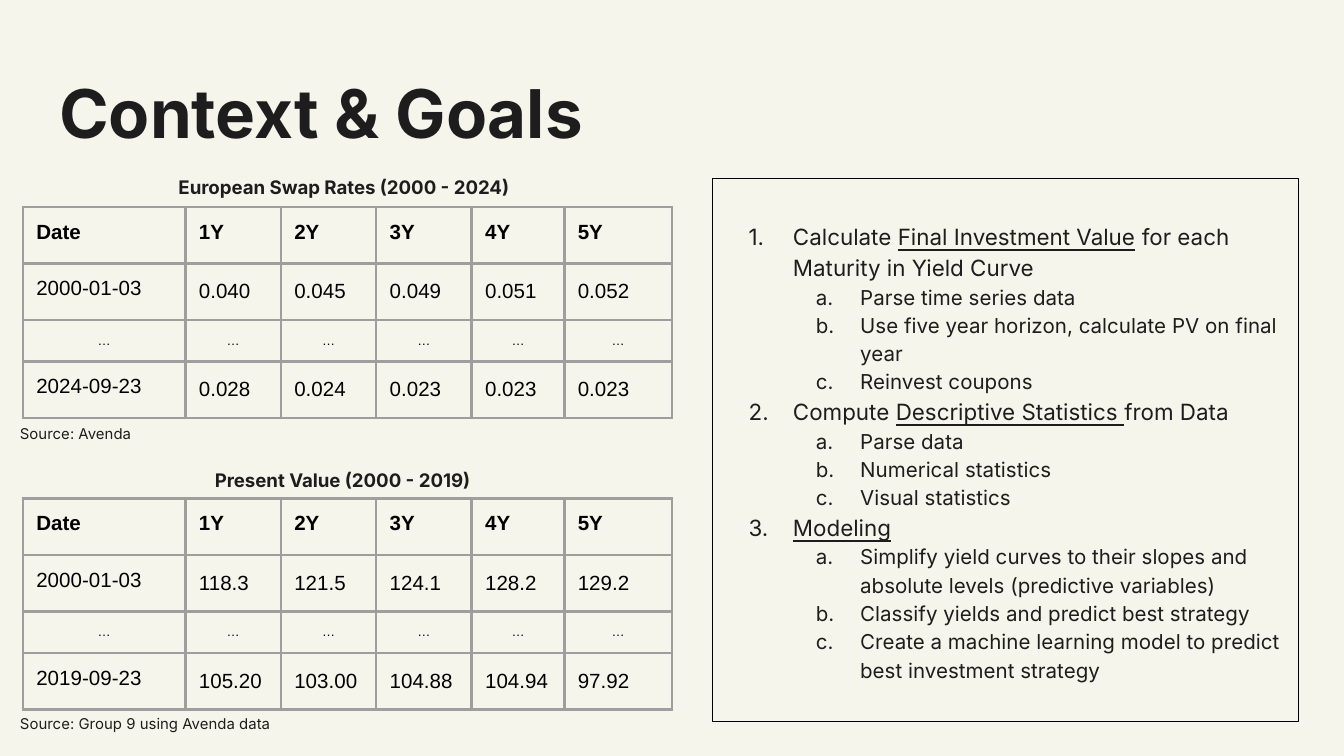
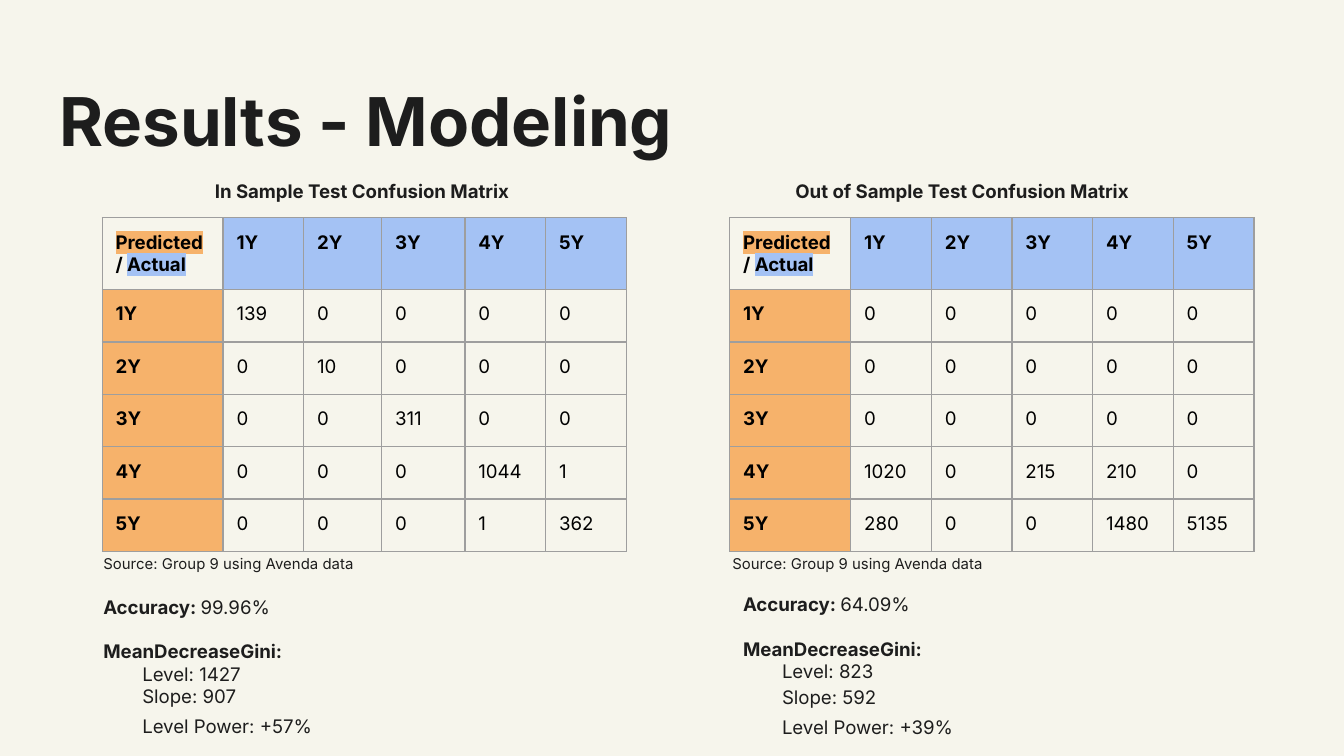
from lxml.etree import SubElement
from pptx import Presentation
from pptx.dml.color import RGBColor
from pptx.enum.text import MSO_ANCHOR as Anchor, MSO_AUTO_SIZE as AutoSize, PP_ALIGN as Align
from pptx.oxml.ns import qn
from pptx.util import Inches, Pt

CREAM = RGBColor(0xF6, 0xF5, 0xEC)
INK = RGBColor(0x1D, 0x1D, 0x1D)
BLACK = RGBColor(0, 0, 0)
GREY = RGBColor(0x9E, 0x9E, 0x9E)
ORANGE = RGBColor(0xF6, 0xB2, 0x6B)
BLUE = RGBColor(0xA4, 0xC2, 0xF4)

TITLE_AND_BODY, TITLE_ONLY = 1, 5
MATURITIES = ["1Y", "2Y", "3Y", "4Y", "5Y"]
GROUP_SOURCE = "Source: Group 9 using Avenda data"

RATE_COLUMNS = [1.21, 0.71, 0.71, 0.71, 0.69, 0.8]
RATE_ROWS = [0.42, 0.42, 0.31, 0.42]
RATE_TABLES = [
    dict(
        caption="European Swap Rates (2000 - 2024)", caption_at=(1.23, 1.22, 2.7, 0.37),
        top=1.54, source="Source: Avenda", source_at=(0.05, 3.06, 1.33, 0.34),
        first=["2000-01-03", "0.040", "0.045", "0.049", "0.051", "0.052"],
        last=["2024-09-23", "0.028", "0.024", "0.023", "0.023", "0.023"],
    ),
    dict(
        caption="Present Value (2000 - 2019)", caption_at=(1.5, 3.4, 2.17, 0.37),
        top=3.71, source=GROUP_SOURCE, source_at=(0.05, 5.22, 2.88, 0.34),
        first=["2000-01-03", "118.3", "121.5", "124.1", "128.2", "129.2"],
        last=["2019-09-23", "105.20", "103.00", "104.88", "104.94", "97.92"],
    ),
]

UNDERLINED = dict(underline=True)
GOALS = [
    (
        ["Calculate ", ("Final Investment Value", UNDERLINED), " for each Maturity in Yield Curve"],
        ["Parse time series data", "Use five year horizon, calculate PV on final year",
         "Reinvest coupons"],
    ),
    (
        ["Compute ", ("Descriptive Statistics ", UNDERLINED), "from Data"],
        ["Parse data", "Numerical statistics", "Visual statistics"],
    ),
    (
        [("Modeling", UNDERLINED)],
        ["Simplify yield curves to their slopes and absolute levels (predictive variables)",
         "Classify yields and predict best strategy",
         "Create a machine learning model to predict best investment strategy"],
    ),
]

MATRIX_CORNER = [
    ("Predicted ", dict(highlight=ORANGE)), "/ ", ("Actual", dict(highlight=BLUE)),
]
MATRIX_ROWS = [0.53] + [0.39] * 5
MATRICES = [
    dict(
        caption="In Sample Test Confusion Matrix", caption_at=(1.5, 1.25, 2.42, 0.37),
        left=0.76, columns=[0.9, 0.6, 0.58, 0.62, 0.6, 0.6],
        counts=[
            [139, 0, 0, 0, 0],
            [0, 10, 0, 0, 0],
            [0, 0, 311, 0, 0],
            [0, 0, 0, 1044, 1],
            [0, 0, 0, 1, 362],
        ],
        source_left=0.67, scores_at=(0.67, 4.33, 2.42, 1.29), slope_gap=0,
        accuracy="99.96%", level=1427, slope=907, power="+57%",
    ),
    dict(
        caption="Out of Sample Test Confusion Matrix", caption_at=(5.82, 1.25, 3.28, 0.37),
        left=5.43, columns=[0.9] + [0.6] * 5,
        counts=[
            [0, 0, 0, 0, 0],
            [0, 0, 0, 0, 0],
            [0, 0, 0, 0, 0],
            [1020, 0, 215, 210, 0],
            [280, 0, 0, 1480, 5135],
        ],
        source_left=5.35, scores_at=(5.43, 4.31, 2.42, 1.31), slope_gap=2,
        accuracy="64.09%", level=823, slope=592, power="+39%",
    ),
]


def add_span(para, text, size=10, font="Inter", color=INK, bold=False, underline=False,
             highlight=None):
    span = para.add_run()
    span.text = text
    span.font.size = Pt(size)
    span.font.bold = bold
    span.font.underline = underline
    span.font.color.rgb = color
    if highlight is not None:
        mark = SubElement(span.font._element, qn("a:highlight"))
        SubElement(mark, qn("a:srgbClr")).set("val", str(highlight))
    span.font.name = font


def write_para(para, content, align=Align.LEFT, spacing=1.0, before=0, indent=0, hanging=0,
               numbering=None, **text_format):
    """Fill a paragraph with a string, or a list of strings and (string, format) pairs."""
    para.alignment = align
    para.line_spacing = spacing
    para.space_before = Pt(before)
    properties = para._p.get_or_add_pPr()
    properties.set("marL", str(Inches(indent)))
    properties.set("indent", str(Inches(-hanging)))
    if numbering:
        SubElement(properties, qn("a:buFont")).set("typeface", "Inter")
        SubElement(properties, qn("a:buAutoNum")).set("type", numbering)
    for part in [content] if isinstance(content, str) else content:
        text, own_format = (part, {}) if isinstance(part, str) else part
        add_span(para, text, **{**text_format, **own_format})


def next_para(frame):
    first = frame.paragraphs[0]
    return frame.add_paragraph() if first.runs else first


def place(box, at):
    box.left, box.top, box.width, box.height = map(Inches, at)


def set_frame(frame, top_inset=0.1):
    frame.word_wrap = True
    frame.auto_size = AutoSize.NONE
    frame.vertical_anchor = Anchor.TOP
    frame.margin_left = frame.margin_right = frame.margin_bottom = Inches(0.1)
    frame.margin_top = Inches(top_inset)


def add_text(slide, at, *paragraphs, top_inset=0.1):
    """Add a text box; each paragraph is a pair of content and format."""
    box = slide.shapes.add_textbox(*map(Inches, at))
    set_frame(box.text_frame, top_inset)
    for content, para_format in paragraphs:
        write_para(next_para(box.text_frame), content, **para_format)


def add_caption(slide, at, text):
    add_text(slide, at, (text, dict(bold=True)), top_inset=0.09)


def add_source(slide, at, text):
    add_text(slide, at, (text, dict(size=8)))


def add_titled_slide(deck, layout, title, top):
    slide = deck.slides.add_slide(deck.slide_layouts[layout])
    box = slide.shapes.title
    place(box, (0.34, top, 9.32, 0.63))
    set_frame(box.text_frame)
    write_para(box.text_frame.paragraphs[0], title, size=36, bold=True)
    return slide


def set_borders(cell, width):
    properties = cell._tc.get_or_add_tcPr()
    for position, side in enumerate(("a:lnL", "a:lnR", "a:lnT", "a:lnB")):
        line = SubElement(properties, qn(side))
        line.set("w", str(Pt(width)))
        fill = SubElement(line, qn("a:solidFill"))
        SubElement(fill, qn("a:srgbClr")).set("val", str(GREY))
        properties.insert(position, line)


def add_grid(slide, left, top, columns, rows, border, contents, cell_format):
    """Add a table; cell_format(row, column) gives a fill or None, and the text format."""
    frame = slide.shapes.add_table(len(rows), len(columns), Inches(left), Inches(top),
                                   Inches(sum(columns)), Inches(sum(rows)))
    table = frame.table
    table.first_row = table.horz_banding = False
    for column, width in zip(table.columns, columns):
        column.width = Inches(width)
    for row, height in zip(table.rows, rows):
        row.height = Inches(height)
    for r, line in enumerate(contents):
        for c, content in enumerate(line):
            cell = table.cell(r, c)
            cell.margin_left = cell.margin_right = Inches(0.1)
            cell.margin_top = cell.margin_bottom = Inches(0.1)
            fill, text_format = cell_format(r, c)
            if fill is None:
                cell.fill.background()
            else:
                cell.fill.solid()
                cell.fill.fore_color.rgb = fill
            write_para(cell.text_frame.paragraphs[0], content, color=BLACK, **text_format)
            set_borders(cell, border)


def rate_format(row, column):
    if row == 2:
        return None, dict(font="Arial", size=7, align=Align.CENTER)
    spacing = 1.15 if row and column else 1.0
    return None, dict(font="Arial", size=11, bold=row == 0, spacing=spacing)


def matrix_format(row, column):
    if row and column:
        return None, {}
    fill = ORANGE if row else BLUE if column else CREAM
    return fill, dict(bold=True)


def add_goals(box):
    place(box, (5.3, 1.33, 4.36, 4.04))
    box.line.color.rgb = BLACK
    box.line.width = Pt(0.75)
    frame = box.text_frame
    set_frame(frame, top_inset=0.3)
    for goal, steps in GOALS:
        write_para(next_para(frame), goal, size=12, spacing=1.15, indent=0.5, hanging=0.33,
                   numbering="arabicPeriod")
        for step in steps:
            para = next_para(frame)
            para.level = 1
            write_para(para, step, size=11, spacing=1.15, indent=1, hanging=0.33,
                       numbering="alphaLcPeriod")


def build_context(deck):
    slide = add_titled_slide(deck, TITLE_AND_BODY, "Context & Goals", 0.43)
    for rates in RATE_TABLES:
        contents = [["Date"] + MATURITIES, rates["first"], ["…"] * 6, rates["last"]]
        add_caption(slide, rates["caption_at"], rates["caption"])
        add_grid(slide, 0.17, rates["top"], RATE_COLUMNS, RATE_ROWS, 1.5, contents, rate_format)
        add_source(slide, rates["source_at"], rates["source"])
    add_goals(slide.placeholders[1])


def build_results(deck):
    slide = add_titled_slide(deck, TITLE_ONLY, "Results - Modeling", 0.49)
    strong = dict(bold=True)
    for matrix in MATRICES:
        contents = [[MATRIX_CORNER] + MATURITIES]
        for maturity, counts in zip(MATURITIES, matrix["counts"]):
            contents.append([maturity] + [str(count) for count in counts])
        add_caption(slide, matrix["caption_at"], matrix["caption"])
        add_grid(slide, matrix["left"], 1.62, matrix["columns"], MATRIX_ROWS, 0.75, contents,
                 matrix_format)
        add_source(slide, (matrix["source_left"], 4.03, 2.88, 0.34), GROUP_SOURCE)
        add_text(
            slide, matrix["scores_at"],
            ([("Accuracy: ", strong), matrix["accuracy"]], {}),
            ("MeanDecreaseGini:", dict(bold=True, before=12)),
            (f"Level: {matrix['level']}", dict(indent=0.29)),
            (f"Slope: {matrix['slope']}", dict(indent=0.29, before=matrix["slope_gap"])),
            (f"Level Power: {matrix['power']}", dict(indent=0.29, before=4)),
        )


def main():
    deck = Presentation()
    deck.slide_width = Inches(10)
    deck.slide_height = deck.slide_width * 9 // 16
    background = deck.slide_master.background.fill
    background.solid()
    background.fore_color.rgb = CREAM
    build_context(deck)
    build_results(deck)
    deck.save("out.pptx")


if __name__ == "__main__":
    main()
